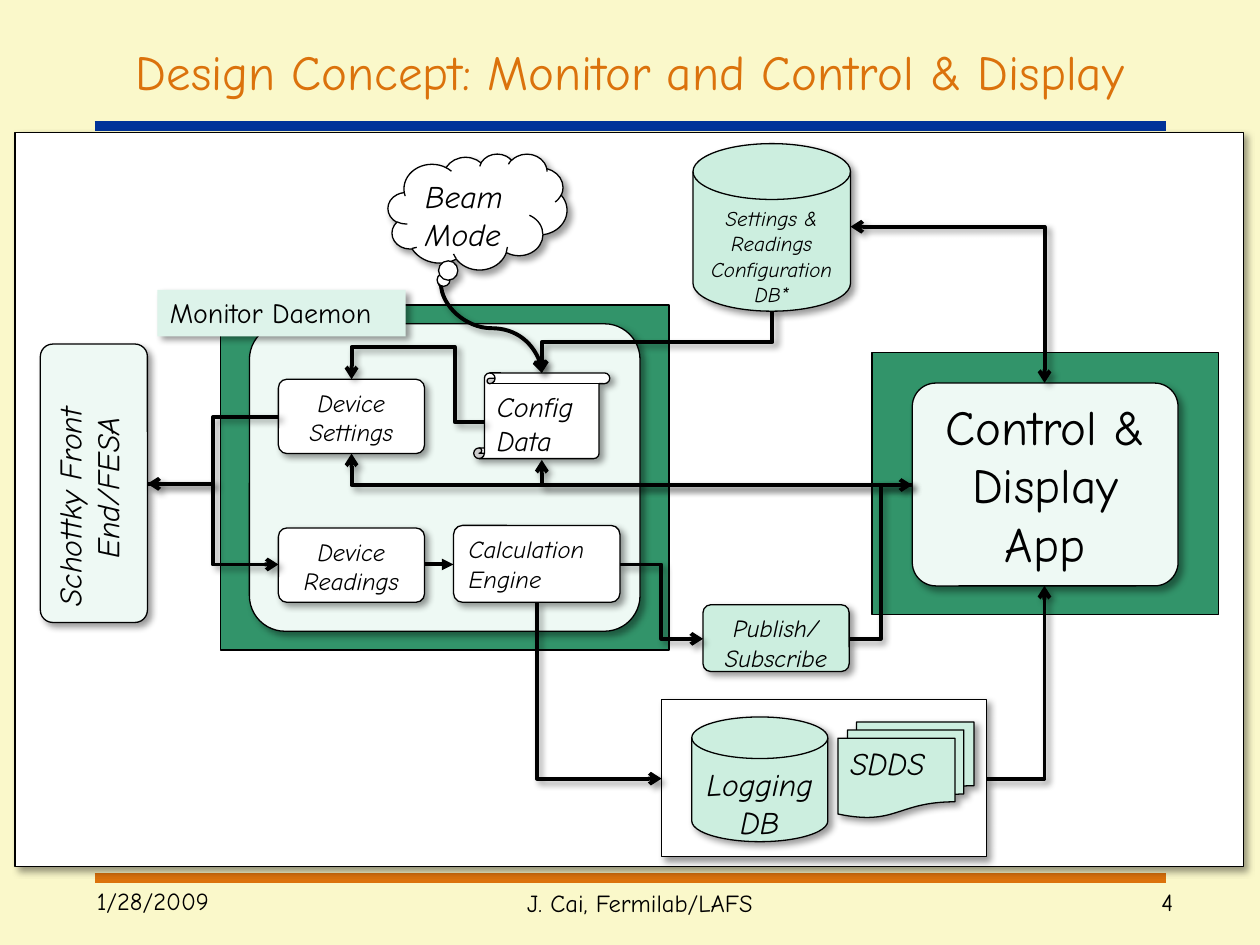
from lxml import etree
from pptx import Presentation
from pptx.dml.color import RGBColor
from pptx.enum.shapes import MSO_CONNECTOR, MSO_SHAPE
from pptx.enum.text import MSO_ANCHOR, PP_ALIGN
from pptx.oxml.ns import qn
from pptx.util import Inches, Pt

RECT, ROUND = MSO_SHAPE.RECTANGLE, MSO_SHAPE.ROUNDED_RECTANGLE
DISK, SCROLL = MSO_SHAPE.FLOWCHART_MAGNETIC_DISK, MSO_SHAPE.VERTICAL_SCROLL
PAPERS, CLOUD = MSO_SHAPE.FLOWCHART_MULTIDOCUMENT, MSO_SHAPE.CLOUD_CALLOUT
STRAIGHT, ELBOW, CURVE = MSO_CONNECTOR.STRAIGHT, MSO_CONNECTOR.ELBOW, MSO_CONNECTOR.CURVE
LEFT, CENTER, RIGHT = PP_ALIGN.LEFT, PP_ALIGN.CENTER, PP_ALIGN.RIGHT
TOP, MIDDLE = MSO_ANCHOR.TOP, MSO_ANCHOR.MIDDLE

COLORS = {
    "page": "FAF8CA", "orange": "DB720C", "blue": "003399", "white": "FFFFFF",
    "black": "000000", "green": "32946A", "pale": "EEF9F4", "mint": "CCEEDF",
    "label": "DDF3EA",
}

# Connection sites of plain boxes; disks have one extra site before these
SITES = {"top": 0, "left": 1, "bottom": 2, "right": 3}


class Diagram:
    """Slide on a grid of 100 columns by 75 rows."""

    columns, rows = 100, 75
    cell = Inches(10) // columns
    font = "Comic Neue"
    corner = 0.116

    def __init__(self):
        self.presentation = Presentation()
        self.presentation.slide_width = self.size(self.columns)
        self.presentation.slide_height = self.size(self.rows)
        self.slide = self.presentation.slides.add_slide(self.presentation.slide_layouts[6])
        fill = self.slide.background.fill
        fill.solid()
        fill.fore_color.rgb = self.color("page")

    def size(self, cells):
        return round(cells * self.cell)

    def color(self, name):
        return RGBColor.from_string(COLORS[name])

    def add_shadow(self, shape, visible=True):
        effects = etree.SubElement(shape._element.spPr, qn("a:effectLst"))
        if visible:
            shadow = etree.SubElement(
                effects, qn("a:outerShdw"), blurRad=str(Pt(4)), dist=str(Pt(3)),
                dir=str(45 * 60000), algn="tl", rotWithShape="0")
            tint = etree.SubElement(shadow, qn("a:srgbClr"), val=COLORS["black"])
            etree.SubElement(tint, qn("a:alpha"), val="40000")

    def fill_text(self, shape, text, size, color="black", italic=False, align=LEFT,
                  anchor=TOP, wrap=True, hanging=0):
        frame = shape.text_frame
        frame.word_wrap = wrap
        frame.vertical_anchor = anchor
        paragraph = frame.paragraphs[0]
        paragraph.alignment = align
        if hanging:
            indent = self.size(hanging)
            properties = paragraph._p.get_or_add_pPr()
            properties.set("marL", str(indent))
            properties.set("indent", str(-indent))
        run = paragraph.add_run()
        run.text = text
        formats = {"name": self.font, "size": Pt(size), "italic": italic}
        for attribute, value in formats.items():
            setattr(run.font, attribute, value)
        run.font.color.rgb = self.color(color)

    def text(self, place, text, size, **style):
        box = self.slide.shapes.add_textbox(*map(self.size, place))
        self.fill_text(box, text, size, **style)

    def shape(self, kind, place, fill, text=None, size=14, outline=True, shadow=True,
              rotation=0, adjustments=(), **style):
        shape = self.slide.shapes.add_shape(kind, *map(self.size, place))
        shape.rotation = rotation
        for index, value in enumerate([self.corner] if kind == ROUND else adjustments):
            shape.adjustments[index] = value
        shape.fill.solid()
        shape.fill.fore_color.rgb = self.color(fill)
        if outline:
            shape.line.color.rgb = self.color("black")
            shape.line.width = Pt(0.75)
        else:
            shape.line.fill.background()
        self.add_shadow(shape, shadow)
        if text:
            self.fill_text(shape, text, size, **style)
        return shape

    def line(self, kind, begin, end, color="black", width=2.25, shadow=False):
        connector = self.slide.shapes.add_connector(kind, *map(self.size, (*begin, *end)))
        connector.line.color.rgb = self.color(color)
        connector.line.width = Pt(width)
        self.add_shadow(connector, shadow)
        return connector

    def link(self, begin, end, source, target, preset="bentConnector3", rotation=0,
             flip=None, adjustments=(), tail="arrow", head=None, shadow=True):
        """Route from begin to end; source and target are (shape, side) pairs."""
        low = [min(pair) for pair in zip(begin, end)]
        high = [max(pair) for pair in zip(begin, end)]
        if rotation in (90, 270):  # the frame is stored before it is turned
            middle = [(a + b) / 2 for a, b in zip(low, high)]
            half = [(b - a) / 2 for a, b in zip(low, high)][::-1]
            low = [m - h for m, h in zip(middle, half)]
            high = [m + h for m, h in zip(middle, half)]
        kind = CURVE if preset.startswith("curved") else ELBOW
        connector = self.line(kind, low, high, shadow=shadow)
        element = connector._element
        frame = element.spPr.find(qn("a:xfrm"))
        frame.set("rot", str(rotation * 60000))
        if flip:
            frame.set(flip, "1")
        geometry = element.spPr.find(qn("a:prstGeom"))
        geometry.set("prst", preset)
        guides = geometry.find(qn("a:avLst"))
        for number, value in enumerate(adjustments, 1):
            etree.SubElement(guides, qn("a:gd"), name=f"adj{number}",
                             fmla=f"val {round(value * 100000)}")
        outline = element.spPr.find(qn("a:ln"))
        for tag, style in (("a:headEnd", head), ("a:tailEnd", tail)):
            if style:
                etree.SubElement(outline, qn(tag), type=style)
        joints = element.find(".//" + qn("p:cNvCxnSpPr"))
        for tag, joint in (("a:stCxn", source), ("a:endCxn", target)):
            if joint:
                shape, side = joint
                site = SITES[side] + (shape.auto_shape_type == DISK)
                etree.SubElement(joints, qn(tag), id=str(shape.shape_id), idx=str(site))


def main():
    diagram = Diagram()
    shape, link = diagram.shape, diagram.link
    note = {"italic": True, "align": CENTER}

    # Rules, title and footer
    for row, color in ((69.7, "orange"), (10, "blue")):
        diagram.line(STRAIGHT, (7.5, row), (92.5, row), color, 6)
    shape(RECT, (1.2, 10.5, 97.5, 58.3), "white")
    diagram.text((5, 3, 90, 5.3), "Design Concept: Monitor and Control & Display", 28,
                 color="orange", align=CENTER, anchor=MIDDLE)
    diagram.text((6.7, 69.8, 15, 5.2), "1/28/2009", 14)
    diagram.text((83.5, 69.9, 10.6, 4.2), "4", 14, align=RIGHT)
    diagram.text((20.8, 70, 60, 5), "J. Cai, Fermilab/LAFS", 14, align=CENTER)

    # Panels
    shape(RECT, (69.2, 28, 27.5, 20.8), "green", shadow=False)
    storage = shape(RECT, (52.5, 55.5, 25.8, 12.5), "white")
    shape(RECT, (17.5, 24.2, 35.6, 27.4), "green", shadow=False)
    shape(ROUND, (19.8, 25.7, 31, 24.4), "pale")

    # Components
    app = shape(ROUND, (72.4, 30.4, 21.1, 16.1), "pale", "Control & Display App", 28,
                align=CENTER)
    front_end = shape(ROUND, (-3.6, 34.1, 22.1, 8.5), "pale", "Schottky Front End/FESA", 18,
                      rotation=270, italic=True, hanging=3.8)
    settings = shape(ROUND, (22.1, 30.1, 11.6, 5.9), "white", "Device Settings", **note)
    readings = shape(ROUND, (22.1, 41.9, 11.6, 5.9), "white", "Device Readings", **note)
    engine = shape(ROUND, (36, 41.7, 13.2, 6.1), "white", "Calculation Engine", italic=True)
    database = shape(DISK, (55, 11.4, 12.5, 13.3), "mint",
                     "Settings & Readings Configuration DB*", 12, **note)
    publisher = shape(ROUND, (55.8, 48, 11.6, 5.3), "mint", "Publish/ Subscribe", **note)
    shape(DISK, (54.9, 56.9, 10.8, 9.9), "mint", "Logging DB", 18, **note)
    config = shape(SCROLL, (37.6, 29.6, 10.8, 6.8), "white", "Config Data", 16, italic=True)
    shape(PAPERS, (66.5, 57.3, 10.8, 7.6), "mint", "SDDS", 18, italic=True, hanging=3.8)

    # Links into the settings and configuration
    link((38.4, 33.5), (27.9, 30.1), (config, "left"), (settings, "top"),
         "bentConnector4", 180, adjustments=(0.22, 1.75))
    link((61.3, 24.7), (43, 29.6), (database, "bottom"), (config, "top"),
         rotation=90, adjustments=(0.5,))
    link((82.9, 30.4), (67.5, 18), (app, "top"), (database, "right"),
         "bentConnector2", 270, "flipV", head="arrow")
    link((72.4, 38.5), (43, 36.5), (app, "left"), (config, "bottom"), "bentConnector2", 180)
    link((72.4, 38.5), (27.9, 36), (app, "left"), (settings, "bottom"), "bentConnector2", 180)
    link((35, 22.5), (43, 29.6), None, (config, "top"),
         "curvedConnector3", 270, "flipH", (0.5,))

    # Links of the front end
    link((22.1, 33.1), (11.7, 38.4), (settings, "left"), (front_end, "bottom"),
         rotation=180, flip="flipV", adjustments=(0.5,))
    link((11.7, 38.4), (22.1, 44.8), (front_end, "bottom"), (readings, "left"),
         adjustments=(0.5,))

    # Links of calculated data
    link((33.7, 44.8), (36, 44.8), (readings, "right"), (engine, "left"),
         "curvedConnector3", adjustments=(0.5,), tail="triangle", shadow=False)
    link((42.6, 47.8), (52.5, 61.8), (engine, "bottom"), (storage, "left"),
         "bentConnector2", 270, "flipH")
    link((49.2, 44.8), (55.8, 50.7), (engine, "right"), (publisher, "left"),
         adjustments=(0.5,))
    link((67.4, 50.7), (72.4, 38.5), (publisher, "right"), (app, "left"),
         flip="flipV", adjustments=(0.5,))
    link((78.3, 61.8), (82.9, 46.5), (storage, "right"), (app, "bottom"),
         "bentConnector2", flip="flipV")

    # Beam mode and daemon label
    shape(CLOUD, (30.8, 12.2, 14.2, 9.2), "white", "Beam Mode", 18, italic=True,
          adjustments=(-0.2, 0.62))
    shape(RECT, (12.5, 23, 19.7, 3.7), "label", "Monitor Daemon", 16, outline=False, wrap=False)

    diagram.presentation.save("out.pptx")


if __name__ == "__main__":
    main()
